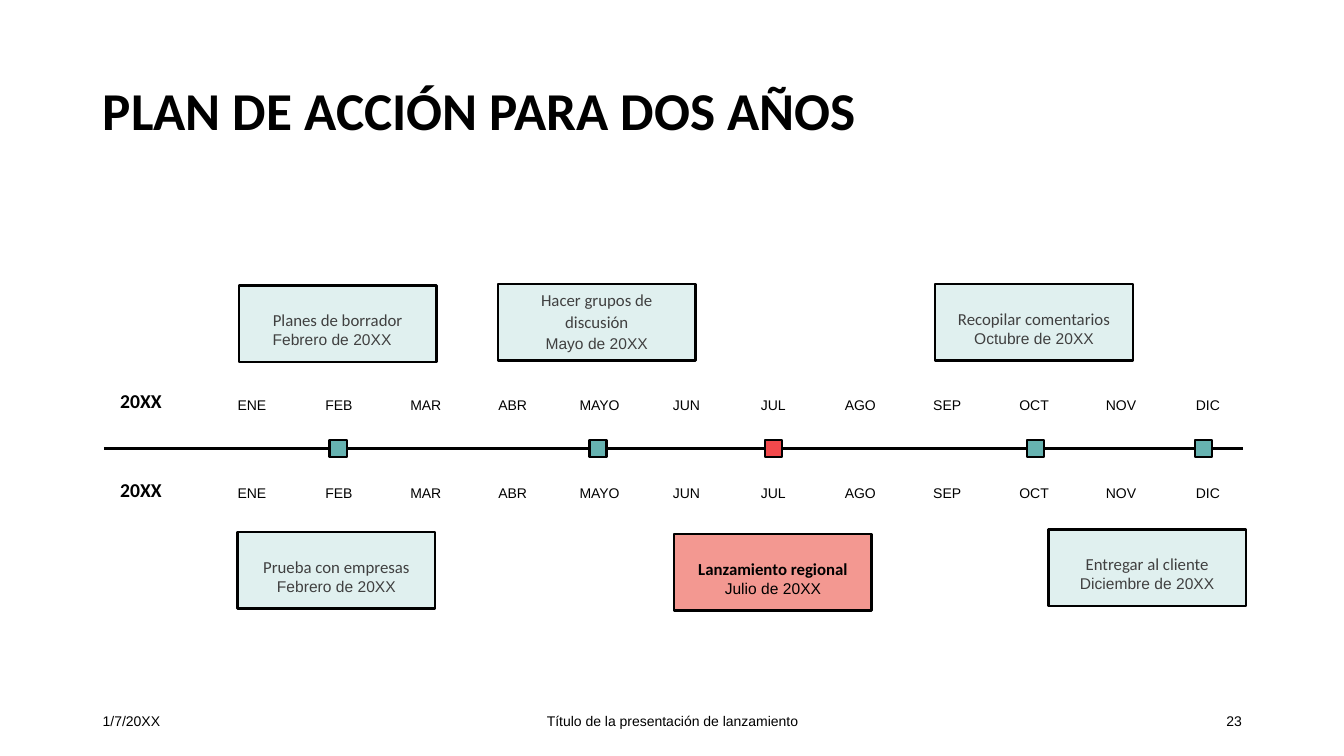
from dataclasses import dataclass

from lxml.etree import SubElement
from pptx import Presentation
from pptx.dml.color import RGBColor
from pptx.enum.shapes import MSO_CONNECTOR, MSO_SHAPE
from pptx.enum.text import MSO_ANCHOR as Anchor, MSO_AUTO_SIZE, PP_ALIGN as Align
from pptx.oxml.ns import qn
from pptx.util import Cm, Pt


@dataclass(frozen=True)
class Theme:
    heading_font: str = "Calibri"
    body_font: str = "Arial"
    black: str = "000000"
    gray: str = "404040"
    pale_teal: str = "E0F0EF"
    teal: str = "66B2B0"
    pale_red: str = "F39891"
    red: str = "F2494C"
    title_size: float = 38
    year_size: float = 14
    task_size: float = 12
    date_size: float = 11.1
    small_size: float = 10
    outline: float = 1.75
    axis: float = 2


THEME = Theme()

MONTHS = "ENE FEB MAR ABR MAYO JUN JUL AGO SEP OCT NOV DIC".split()
MONTH_LEFT, MONTH_STEP = 5.46, 2.19
AXIS_TOP = 11.3

# Year label top, month labels top
YEAR_ROWS = [(9.5, 9.91), (11.73, 12.12)]

# Marker left, launch or not
MARKERS = [(8.31, False), (14.86, False), (19.28, True), (25.88, False), (30.12, False)]

# Task, date, left, top, date offset across and down, task spacing, date spacing, launch
MILESTONES = [
    ("Planes de borrador", "Febrero de 20XX", 6.02, 7.19, 0, 1.12, 2, 0.7, False),
    ("Hacer grupos de discusión", "Mayo de 20XX", 12.55, 7.16, 0.14, 1.27, 1.1, 0.7, False),
    ("Recopilar comentarios", "Octubre de 20XX", 23.57, 7.16, 0.14, 1.07, 2, 0.9, False),
    ("Prueba con empresas", "Febrero de 20XX", 5.99, 13.41, 0.14, 1.14, 2, 0.7, False),
    ("Lanzamiento regional", "Julio de 20XX", 16.99, 13.46, 0.14, 1.14, 2, 0.7, True),
    ("Entregar al cliente", "Diciembre de 20XX", 26.42, 13.34, 0.14, 1.14, 2, 0.7, False),
]

# Text, left, width, alignment
FOOTERS = [
    ("1/7/20XX", 2.34, 7.62, Align.LEFT),
    ("Título de la presentación de lanzamiento", 11.23, 11.43, Align.CENTER),
    ("23", 23.93, 7.62, Align.RIGHT),
]


def color(value):
    return RGBColor.from_string(value)


def write(box, text, size, font=THEME.body_font, ink=THEME.black, bold=False,
          align=Align.CENTER, anchor=Anchor.TOP, spacing=0.9):
    frame = box.text_frame
    frame.word_wrap = True
    frame.auto_size = MSO_AUTO_SIZE.NONE
    frame.vertical_anchor = anchor
    frame.text = text
    para = frame.paragraphs[0]
    para.alignment = align
    para.line_spacing = spacing
    para.space_before = Pt(0)
    span = para.runs[0].font
    span.name, span.size, span.bold = font, Pt(size), bold
    span.color.rgb = color(ink)


def add_label(page, left, top, width, height, text, size, **style):
    box = page.shapes.add_textbox(Cm(left), Cm(top), Cm(width), Cm(height))
    write(box, text, size, **style)


def add_box(page, left, top, width, height, fill):
    box = page.shapes.add_shape(MSO_SHAPE.RECTANGLE, Cm(left), Cm(top), Cm(width), Cm(height))
    box.shadow.inherit = False
    box.fill.solid()
    box.fill.fore_color.rgb = color(fill)
    box.line.color.rgb = color(THEME.black)
    box.line.width = Pt(THEME.outline)
    return box


def add_title(page, text):
    title = page.shapes.title
    title.left, title.top, title.width, title.height = Cm(2.34), Cm(1.02), Cm(29.21), Cm(3.68)
    write(title, text, THEME.title_size, font=THEME.heading_font, bold=True,
          align=Align.LEFT, anchor=Anchor.MIDDLE)


def add_axis(page):
    axis = page.shapes.add_connector(
        MSO_CONNECTOR.STRAIGHT, Cm(2.62), Cm(AXIS_TOP), Cm(31.32), Cm(AXIS_TOP))
    axis.line.color.rgb = color(THEME.black)
    axis.line.width = Pt(THEME.axis)
    SubElement(axis.element.spPr, qn("a:effectLst"))


def add_year(page, year_top, month_top):
    add_label(page, 2.54, year_top, 2.03, 1.27, "20XX", THEME.year_size,
              font=THEME.heading_font, bold=True, anchor=Anchor.MIDDLE)
    for index, month in enumerate(MONTHS):
        add_label(page, MONTH_LEFT + index * MONTH_STEP, month_top, 1.78, 0.76,
                  month, THEME.small_size)


def add_marker(page, left, launch):
    side = 0.43
    add_box(page, left, AXIS_TOP - side / 2, side, side, THEME.red if launch else THEME.teal)


def add_milestone(page, task, date, left, top, across, down, task_spacing, date_spacing, launch):
    ink = THEME.black if launch else THEME.gray
    box = add_box(page, left, top, 4.98, 1.93, THEME.pale_red if launch else THEME.pale_teal)
    box.text_frame.margin_top = Cm(0.1)
    write(box, task, THEME.task_size, font=THEME.heading_font, ink=ink, bold=launch,
          spacing=task_spacing)
    add_label(page, left + across, top + down, 4.7, 0.64, date, THEME.date_size,
              ink=ink, spacing=date_spacing)


def main():
    deck = Presentation()
    deck.slide_width, deck.slide_height = Cm(33.87), Cm(19.05)
    page = deck.slides.add_slide(deck.slide_layouts[5])

    # Title and time axis
    add_title(page, "PLAN DE ACCIÓN PARA DOS AÑOS")
    add_axis(page)

    # Years, markers and milestones
    for row in YEAR_ROWS:
        add_year(page, *row)
    for marker in MARKERS:
        add_marker(page, *marker)
    for milestone in MILESTONES:
        add_milestone(page, *milestone)

    # Footer
    for text, left, width, align in FOOTERS:
        add_label(page, left, 17.65, width, 1.02, text, THEME.small_size,
                  align=align, anchor=Anchor.MIDDLE, spacing=1.0)

    deck.save("out.pptx")


if __name__ == "__main__":
    main()
